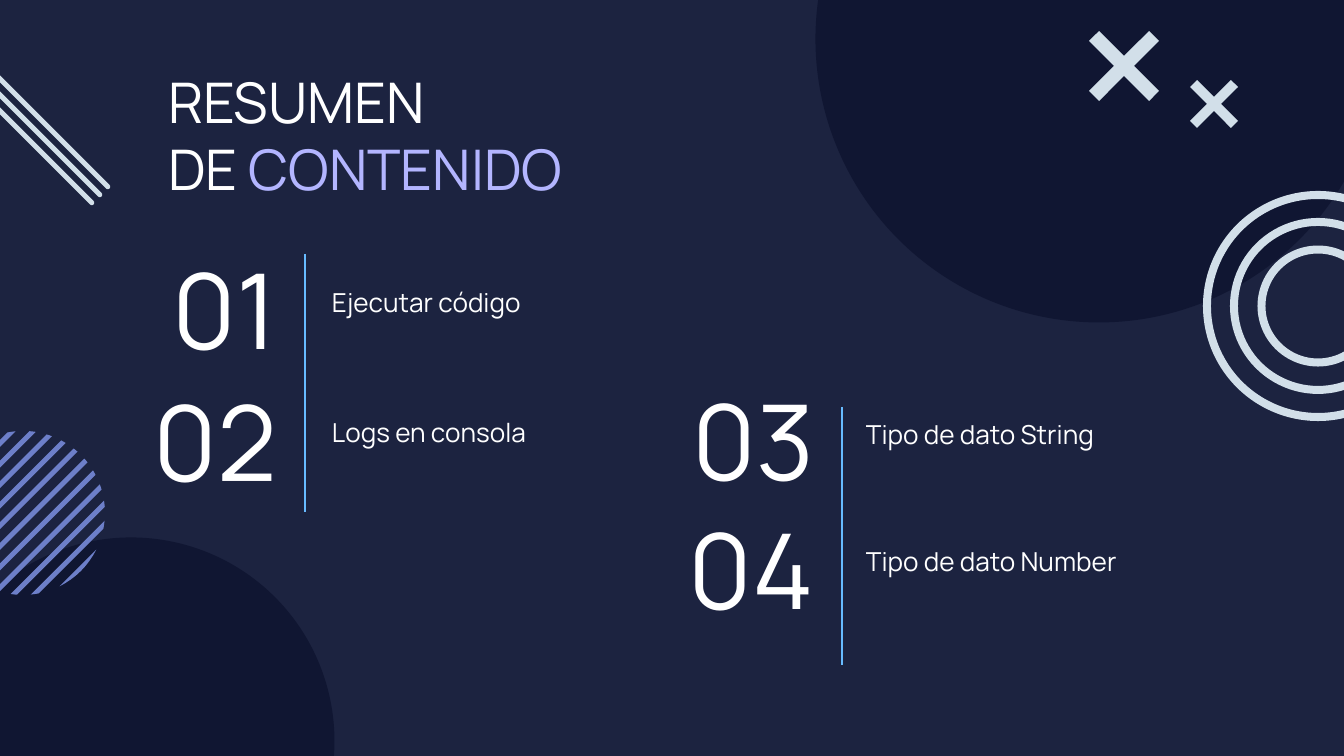
from math import acos, cos, pi, sin, sqrt

from lxml.etree import SubElement
from pptx import Presentation
from pptx.dml.color import RGBColor
from pptx.enum.shapes import MSO_CONNECTOR as Connector, MSO_SHAPE as Shape
from pptx.enum.text import MSO_ANCHOR as Anchor, MSO_AUTO_SIZE as AutoSize, PP_ALIGN as Align
from pptx.oxml.ns import qn
from pptx.util import Pt

NAVY = RGBColor(0x1C, 0x23, 0x40)
MIDNIGHT = RGBColor(0x10, 0x16, 0x32)
PERIWINKLE = RGBColor(0x6D, 0x7F, 0xC9)
MIST = RGBColor(0xD2, 0xDF, 0xE9)
LILAC = RGBColor(0xB3, 0xB5, 0xFF)
SKY = RGBColor(0x67, 0xBB, 0xFF)
WHITE = RGBColor(0xFF, 0xFF, 0xFF)

WIDTH, HEIGHT = 1344, 756
SCALE = 9144000 / WIDTH


def emu(*lengths):
    return [round(length * SCALE) for length in lengths]


class SlideBuilder:
    """Holds the style and the slide; every length is in px."""

    font_name = "Manrope"
    inset = 13

    def __init__(self, slide):
        self.slide = slide
        self.shapes = slide.shapes
        slide.background.fill.solid()
        slide.background.fill.fore_color.rgb = NAVY

    def paint(self, shape, color):
        shape.shadow.inherit = False
        shape.fill.solid()
        shape.fill.fore_color.rgb = color
        shape.line.fill.background()

    def preset(self, kind, center, width, height, color):
        x, y = center
        shape = self.shapes.add_shape(
            kind, *emu(x - width / 2, y - height / 2, width, height))
        self.paint(shape, color)
        return shape

    def circle(self, center, diameter, color):
        self.preset(Shape.OVAL, center, diameter, diameter, color)

    def ring(self, center, diameter, thickness, color):
        ring = self.preset(Shape.DONUT, center, diameter, diameter, color)
        ring.adjustments[0] = thickness / diameter

    def slanted_bar(self, center, length, thickness, color):
        bar = self.preset(Shape.ROUNDED_RECTANGLE, center, length, thickness, color)
        bar.adjustments[0] = 0.5
        bar.rotation = 45

    def polygon(self, points, color):
        start, *others = [emu(*point) for point in points]
        builder = self.shapes.build_freeform(*start)
        builder.add_line_segments(others, close=True)
        self.paint(builder.convert_to_shape(), color)

    def cross(self, center, half, arm, color):
        x, y = center
        corner = [(-arm, 0), (-half, arm - half), (arm - half, -half)]
        points = []
        for _ in range(4):
            points += [(x + dx, y + dy) for dx, dy in corner]
            corner = [(-dy, dx) for dx, dy in corner]
        self.polygon(points, color)

    def striped_disc(self, center, radius, first, step, thickness, count, color):
        """Cut 45° stripes from a disc; first, step and thickness run along x + y."""
        x, y = center
        reach = radius * sqrt(2)
        for index in range(count):
            near = first + index * step
            far = min(near + thickness, reach)
            wide, narrow = acos(near / reach), acos(far / reach)
            arc = [wide + (narrow - wide) * part / 4 for part in range(5)]
            angles = [pi / 4 + turn for turn in arc]
            angles += [pi / 4 - turn for turn in reversed(arc)]
            self.polygon([(x + radius * cos(a), y + radius * sin(a)) for a in angles], color)

    def rule(self, x, top, length, color):
        line = self.shapes.add_connector(
            Connector.STRAIGHT, *emu(x, top, x, top + length))
        line.line.color.rgb = color
        line.line.width = Pt(1.5)
        SubElement(line._element.spPr, qn("a:effectLst"))

    def set_text(self, shape, lines, size, align=Align.LEFT, anchor=Anchor.TOP):
        """Fill a shape with lines, each a list of (text, color) runs."""
        frame = shape.text_frame
        frame.word_wrap = True
        frame.auto_size = AutoSize.NONE
        frame.vertical_anchor = anchor
        inset, = emu(self.inset)
        frame.margin_left = frame.margin_right = inset
        frame.margin_top = frame.margin_bottom = inset
        for index, runs in enumerate(lines):
            paragraph = frame.add_paragraph() if index else frame.paragraphs[0]
            paragraph.alignment = align
            for text, color in runs:
                run = paragraph.add_run()
                run.text = text
                run.font.name = self.font_name
                run.font.size = Pt(size)
                run.font.color.rgb = color

    def title(self, box, lines, size):
        title = self.shapes.title
        title.left, title.top, title.width, title.height = emu(*box)
        self.set_text(title, lines, size)

    def text(self, box, text, size, **placement):
        text_box = self.shapes.add_textbox(*emu(*box))
        self.set_text(text_box, [[(text, WHITE)]], size, **placement)


def main():
    deck = Presentation()
    deck.slide_width, deck.slide_height = emu(WIDTH, HEIGHT)
    page = SlideBuilder(deck.slides.add_slide(deck.slide_layouts[5]))

    page.circle((131, 741), 407, MIDNIGHT)
    page.circle((1099, 39), 567, MIDNIGHT)
    page.striped_disc((23, 513), 82, first=-96, step=20.6, thickness=7,
                      count=11, color=PERIWINKLE)
    for diameter in (230, 176, 121):
        page.ring((1318, 306), diameter, 8, MIST)
    for shift in (0, 8, 16):
        page.slanted_bar((31 - shift, 110 + shift), 222, 5, MIST)
    page.cross((1214, 104), 24, 7, MIST)
    page.cross((1124, 66), 35, 10, MIST)

    page.title((155, 54, 544, 132),
               [[("RESUMEN", WHITE)], [("DE ", WHITE), ("CONTENIDO", LILAC)]], 30)

    topics = [
        ("01", 95, 290, "Ejecutar código", 319, 273),
        ("02", 95, 422, "Logs en consola", 319, 403),
        ("03", 632, 421, "Tipo de dato String", 853, 405),
        ("04", 632, 550, "Tipo de dato Number", 853, 532),
    ]
    for number, number_x, number_y, topic, topic_x, topic_y in topics:
        page.text((number_x, number_y, 195, 35), number, 56,
                  align=Align.RIGHT, anchor=Anchor.MIDDLE)
        page.text((topic_x, topic_y, 345, 59), topic, 14)
    for x, top in ((305, 254), (842, 407)):
        page.rule(x, top, 258, SKY)

    deck.save("out.pptx")


if __name__ == "__main__":
    main()
